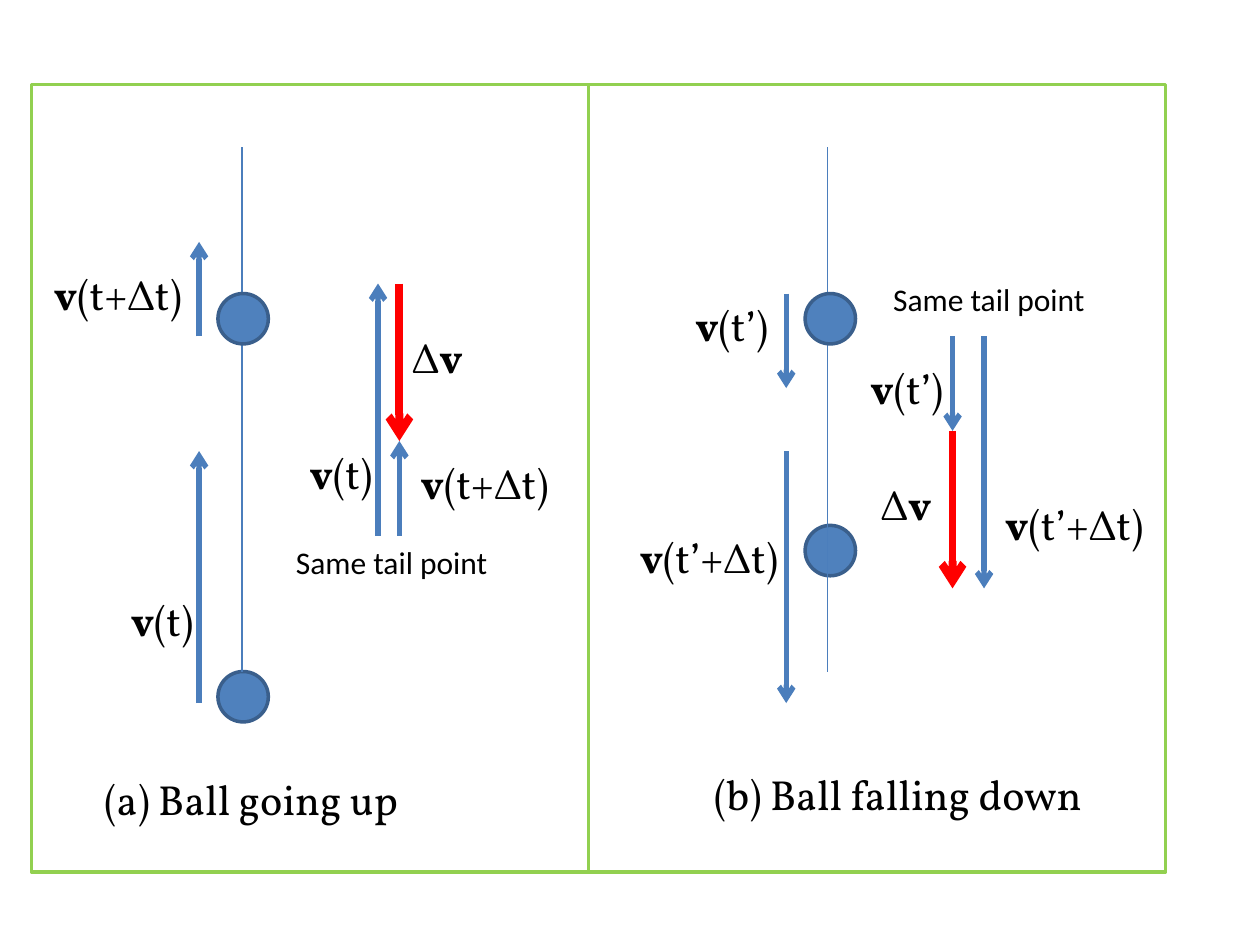
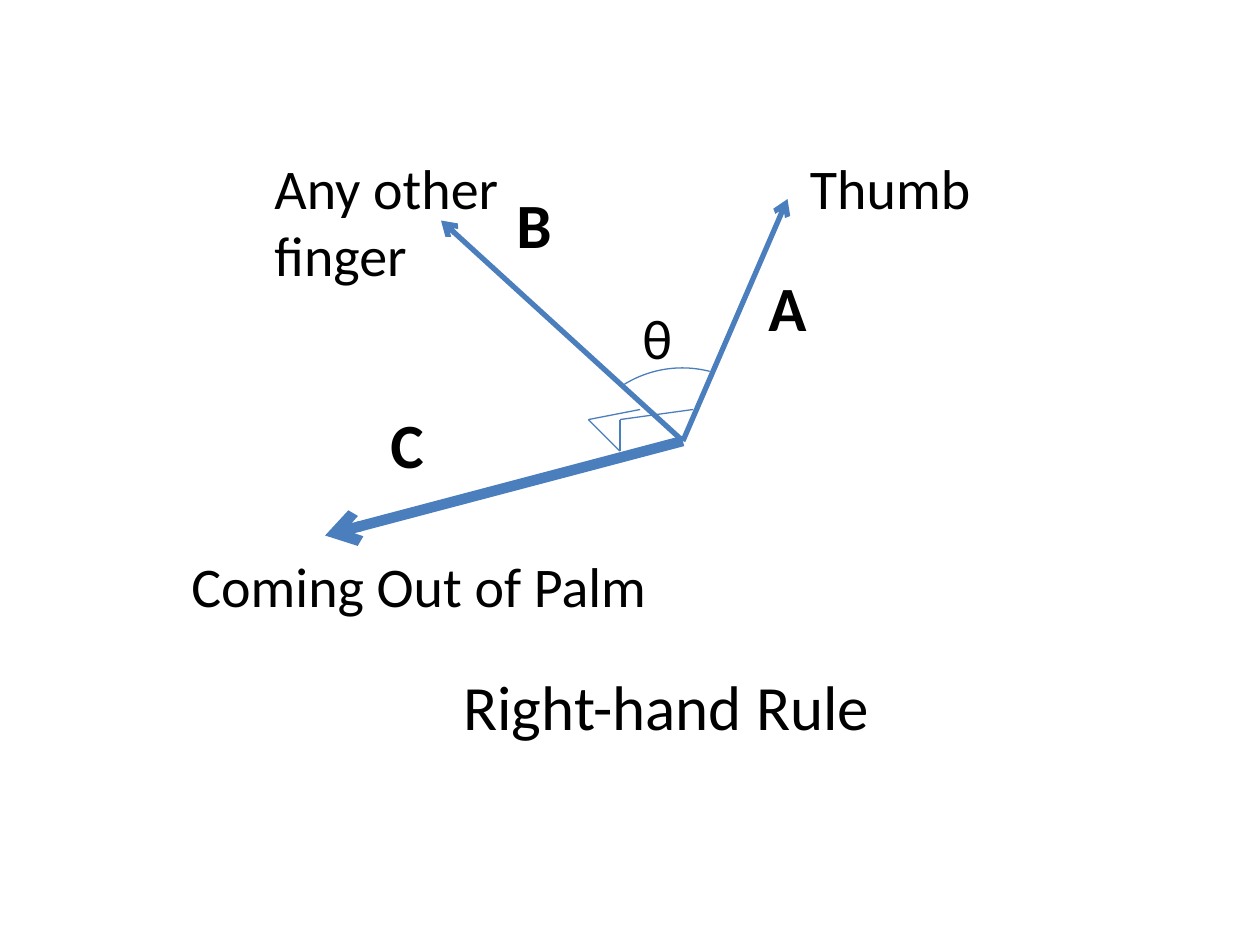
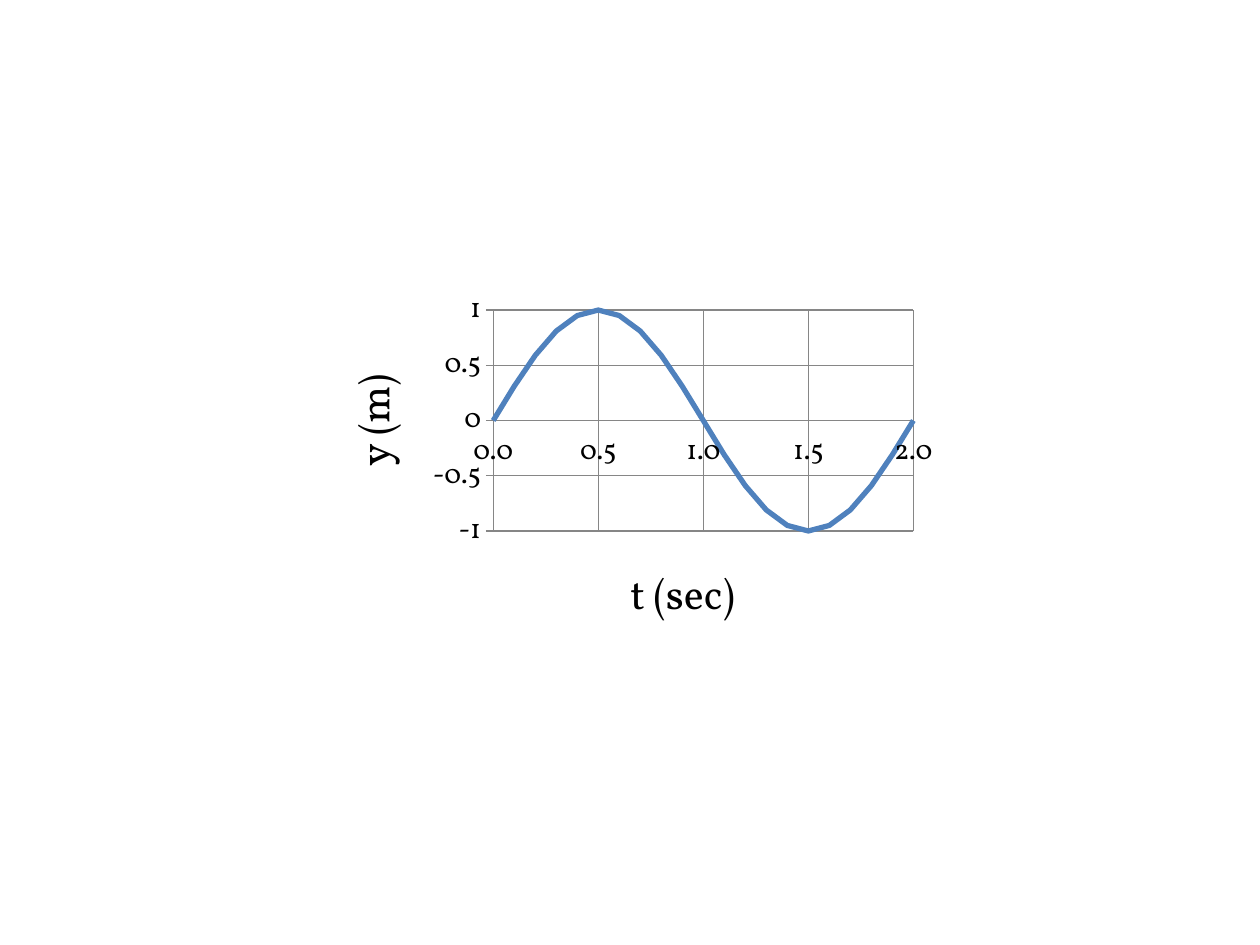
import math

import pptx
import pptx.chart.data
import pptx.dml.color
import pptx.enum.chart
import pptx.enum.shapes
import pptx.enum.text
import pptx.util
from lxml import etree
from pptx.oxml.ns import qn

Inches = pptx.util.Inches
Pt = pptx.util.Pt
RGBColor = pptx.dml.color.RGBColor
MSO_SHAPE = pptx.enum.shapes.MSO_SHAPE

BLACK = RGBColor(0x00, 0x00, 0x00)
BLUE = RGBColor(0x4F, 0x81, 0xBD)
BLUE_LINE = RGBColor(0x4B, 0x7E, 0xBC)
BLUE_EDGE = RGBColor(0x3A, 0x5F, 0x8C)
RED = RGBColor(0xFF, 0x00, 0x00)
GREEN = RGBColor(0x92, 0xD0, 0x50)
GRID = RGBColor(0x86, 0x86, 0x86)
SERIF = "Vollkorn"
SANS = "Calibri"


def add_text(s, x, y, w, h, text, size=24, font=SERIF, bold_part=None):
    tf = s.shapes.add_textbox(Inches(x), Inches(y), Inches(w), Inches(h)).text_frame
    tf.word_wrap = False
    tf.auto_size = pptx.enum.text.MSO_AUTO_SIZE.SHAPE_TO_FIT_TEXT
    for i, line in enumerate(text.split("\n")):
        p = tf.add_paragraph() if i else tf.paragraphs[0]
        for part in line.partition(bold_part) if bold_part else [line]:
            if part:
                r = p.add_run()
                r.text = part
                r.font.size = Pt(size)
                r.font.name = font
                r.font.bold = part == bold_part
                r.font.color.rgb = BLACK


def add_shape(s, kind, x, y, w, h, line, width, fill=None):
    sp = s.shapes.add_shape(kind, Inches(x), Inches(y), Inches(w), Inches(h))
    sp.shadow.inherit = False
    if fill is None:
        sp.fill.background()
    else:
        sp.fill.solid()
        sp.fill.fore_color.rgb = fill
    sp.line.color.rgb = line
    sp.line.width = Pt(width)
    return sp


def add_line(s, x1, y1, x2, y2, color=BLUE_LINE, width=0.75, arrow=False):
    cn = s.shapes.add_connector(
        pptx.enum.shapes.MSO_CONNECTOR.STRAIGHT,
        Inches(x1), Inches(y1), Inches(x2), Inches(y2))
    cn.line.color.rgb = color
    cn.line.width = Pt(width)
    if arrow:
        etree.SubElement(cn.line._get_or_add_ln(), qn("a:tailEnd"), type="arrow")
    etree.SubElement(cn._element.spPr, qn("a:effectLst"))


def add_motion_panel(s, x, y, w, h, ball_x, ball_ys, path, vectors, delta,
                     labels, tail_note, caption):
    path_x, path_end = path
    low_ball, high_ball = ball_ys

    def add_ball(ball_y):
        add_shape(s, MSO_SHAPE.OVAL, x + ball_x, y + ball_y, 0.4, 0.4, BLUE_EDGE, 2, BLUE)

    add_ball(low_ball)
    add_line(s, x + path_x, y + path_end, x + path_x, y + 0.5)
    add_ball(high_ball)
    for vx, start, end in vectors:
        add_line(s, x + vx, y + start, x + vx, y + end, width=3, arrow=True)
    dx, start, end = delta
    add_line(s, x + dx, y + start, x + dx, y + end, RED, 4.5, True)
    for lx, ly, lw, text in labels:
        add_text(s, x + lx, y + ly, lw, 0.5, text, bold_part="v")
    nx, ny = tail_note
    add_text(s, x + nx, y + ny, 1.74, 0.4, "Same tail point", size=18, font=SANS)
    cx, cy, cw, text = caption
    add_text(s, x + cx, y + cy, cw, 0.5, text)
    add_shape(s, MSO_SHAPE.RECTANGLE, x, y, w, h, GREEN, 2)


def build_motion_slide(s):
    add_motion_panel(
        s, 0.25, 0.67, 4.42, 6.25,
        ball_x=1.48, ball_ys=(4.66, 1.66), path=(1.67, 4.66),
        vectors=[(1.33, 2, 1.25), (2.92, 3.58, 2.83), (2.75, 3.58, 1.58), (1.33, 4.91, 2.91)],
        delta=(2.92, 1.58, 2.83),
        labels=[(0.69, 4, 0.73, "v(t)"), (0.08, 1.41, 1.26, "v(t+Δt)"),
                (2.11, 2.83, 0.73, "v(t)"), (2.99, 2.91, 1.26, "v(t+Δt)"),
                (2.92, 1.91, 0.62, "Δv")],
        tail_note=(2, 3.59), caption=(0.48, 5.42, 2.68, "(a) Ball going up"))
    add_motion_panel(
        s, 4.67, 0.67, 4.58, 6.25,
        ball_x=1.72, ball_ys=(3.5, 1.66), path=(1.9, 4.66),
        vectors=[(1.57, 1.66, 2.41), (1.57, 2.91, 4.91), (2.89, 2, 2.75), (3.14, 2, 4)],
        delta=(2.89, 2.75, 4),
        labels=[(0.31, 3.5, 1.36, "v(t’+Δt)"), (0.75, 1.66, 0.82, "v(t’)"),
                (2.14, 2.16, 0.82, "v(t’)"), (3.21, 3.24, 1.36, "v(t’+Δt)"),
                (2.22, 3.08, 0.62, "Δv")],
        tail_note=(2.32, 1.5), caption=(0.9, 5.38, 3.26, "(b) Ball falling down"))


def build_right_hand_rule(s, x, y):
    vertex_x, vertex_y = x + 4, y + 2.33
    for tip_x, tip_y, width in [(4.83, 0.41, 3), (2.08, 0.58, 3), (1.16, 3.08, 6)]:
        add_line(s, vertex_x, vertex_y, x + tip_x, y + tip_y, width=width, arrow=True)
    for corner_x, end_x in [(3.5, 4.08), (3.25, 3.66)]:
        add_line(s, x + 3.5, y + 2.41, x + corner_x, y + 2.16)
        add_line(s, x + corner_x, y + 2.16, x + end_x, y + 2.08)
    for lx, ly, lw, name in [(4.58, 0.91, 0.51, "A"), (2.58, 0.25, 0.48, "B"),
                             (1.58, 2, 0.47, "C")]:
        add_text(s, x + lx, y + ly, lw, 0.71, name, size=36, font=SANS, bold_part=name)
    arc = add_shape(s, MSO_SHAPE.ARC, x + 3.08, y + 1.75, 1.83, 1.92, BLUE_LINE, 0.75)
    arc.adjustments[0] = 143.58
    arc.adjustments[1] = 169.9
    for lx, ly, lw, lh, text in [(3.58, 1.19, 0.44, 0.64, "θ"),
                                 (4.91, 0, 1.49, 0.64, "Thumb"),
                                 (0.66, 0, 2, 1.18, "Any other\nfinger"),
                                 (0, 3.16, 3.85, 0.64, "Coming Out of Palm")]:
        add_text(s, x + lx, y + ly, lw, lh, text, size=32, font=SANS)
    add_text(s, x + 2.16, y + 4.08, 3.47, 0.71, "Right-hand Rule", size=36, font=SANS)


def style_font(font, size):
    font.name = SERIF
    font.size = Pt(size)
    font.bold = False
    font.color.rgb = BLACK


def style_axis(axis, title, low, high, number_format):
    axis.minimum_scale, axis.maximum_scale, axis.major_unit = low, high, 0.5
    axis.has_major_gridlines = True
    for line in (axis.major_gridlines.format.line, axis.format.line):
        line.color.rgb = GRID
        line.width = Pt(0.75)
    axis.major_tick_mark = pptx.enum.chart.XL_TICK_MARK.OUTSIDE
    axis.minor_tick_mark = pptx.enum.chart.XL_TICK_MARK.NONE
    axis.tick_labels.number_format = number_format
    axis.tick_labels.number_format_is_linked = False
    style_font(axis.tick_labels.font, 16)
    r = axis.axis_title.text_frame.paragraphs[0].add_run()
    r.text = title
    style_font(r.font, 24)


def build_sine_chart(s, x, y, w, h):
    data = pptx.chart.data.XyChartData()
    series = data.add_series("Series 1")
    for i in range(21):
        series.add_data_point(i / 10, round(math.sin(math.pi * i / 10), 2))
    chart = s.shapes.add_chart(
        pptx.enum.chart.XL_CHART_TYPE.XY_SCATTER_SMOOTH_NO_MARKERS,
        Inches(x), Inches(y), Inches(w), Inches(h), data).chart
    chart.has_legend = False
    chart.has_title = False
    style_font(chart.font, 24)
    style_axis(chart.category_axis, "t (sec)", 0, 2, "0.0")
    style_axis(chart.value_axis, "y (m)", -1, 1, "General")
    body = chart.value_axis.axis_title.text_frame._txBody.find(qn("a:bodyPr"))
    body.set("rot", "-5400000")
    body.set("vert", "horz")
    plot = chart.plots[0]
    plot.vary_by_categories = False
    curve = plot.series[0]
    curve.smooth = True
    curve.format.line.color.rgb = BLUE
    curve.format.line.width = Pt(3)


def main():
    prs = pptx.Presentation()
    prs.slide_width, prs.slide_height = Inches(10), Inches(7.5)
    motion, rule, sine = [prs.slides.add_slide(prs.slide_layouts[6]) for _ in range(3)]
    build_motion_slide(motion)
    build_right_hand_rule(rule, 1.42, 1.17)
    build_sine_chart(sine, 2.5, 2.25, 5, 3)
    prs.save("out.pptx")


if __name__ == "__main__":
    main()
